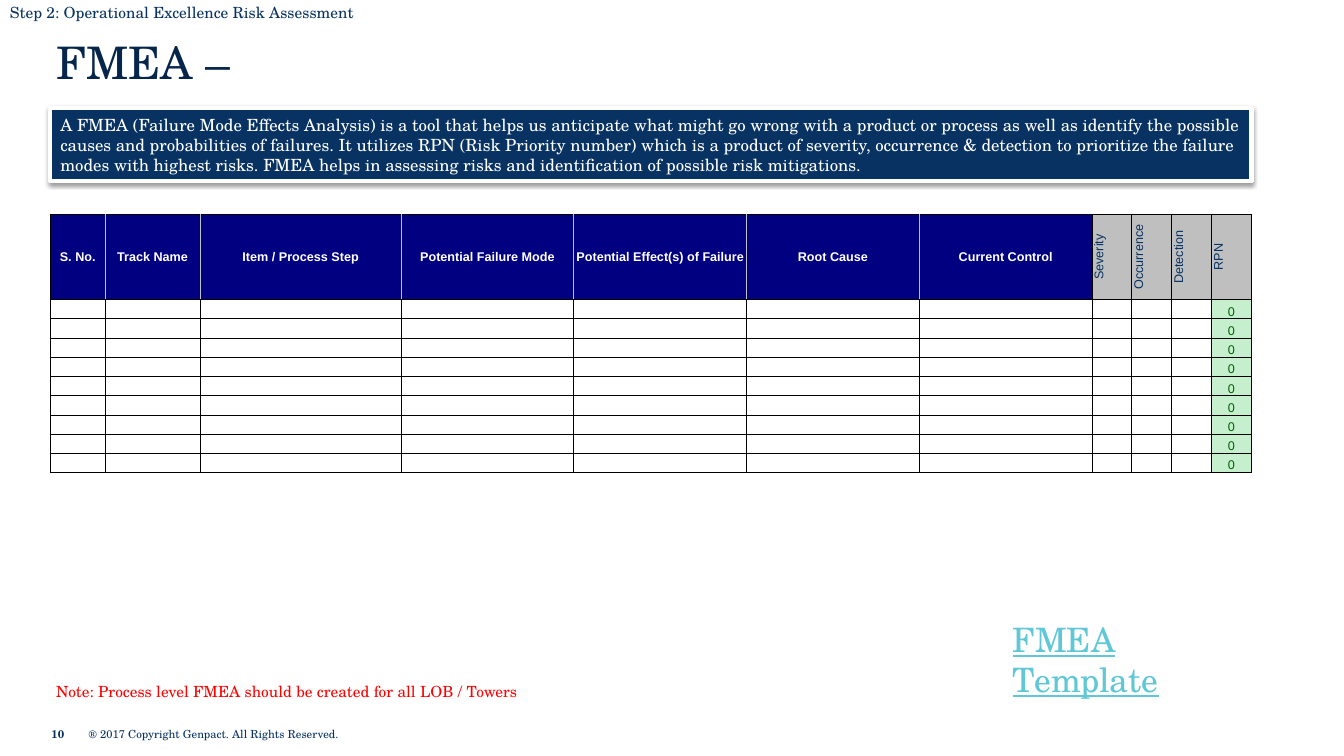
from lxml.etree import SubElement
from pptx import Presentation
from pptx.dml.color import RGBColor
from pptx.enum.shapes import MSO_SHAPE
from pptx.enum.text import MSO_ANCHOR, MSO_AUTO_SIZE, PP_ALIGN
from pptx.oxml.ns import qn
from pptx.util import Pt

SERIF = "TeX Gyre Schola"
SANS = "Arial"
NAVY = RGBColor(0x07, 0x32, 0x62)
TITLE_NAVY = RGBColor(0x05, 0x25, 0x4A)
HEADER_BLUE = RGBColor(0x00, 0x00, 0x80)
TEAL = RGBColor(0x60, 0xC7, 0xD7)
RED = RGBColor(0xFF, 0x00, 0x00)
GRAY = RGBColor(0xBF, 0xBF, 0xBF)
LIGHT_GREEN = RGBColor(0xC6, 0xEF, 0xCE)
DARK_GREEN = RGBColor(0x00, 0x61, 0x00)
WHITE = RGBColor(0xFF, 0xFF, 0xFF)
BLACK = RGBColor(0x00, 0x00, 0x00)


def write(tf, text, size, color, name=SERIF, align=PP_ALIGN.LEFT, margins=(7.2, 3.6)):
    """Fill a text frame; margins are (left and right, top and bottom)."""
    tf.word_wrap = True
    tf.auto_size = MSO_AUTO_SIZE.NONE
    tf.margin_left = tf.margin_right = Pt(margins[0])
    tf.margin_top = tf.margin_bottom = Pt(margins[1])
    p = tf.paragraphs[0]
    p.text = text
    p.alignment = align
    p.font.size, p.font.name = Pt(size), name
    p.font.color.rgb = color
    return p


def set_borders(cell, left, right):
    """Draw half-point borders: given colours at the sides, black above and below."""
    tc_pr = cell._tc.get_or_add_tcPr()
    for side, color in zip("LRTB", (left, right, BLACK, BLACK)):
        ln = SubElement(tc_pr, qn(f"a:ln{side}"), w=str(Pt(0.5)))
        fill = SubElement(ln, qn("a:solidFill"))
        SubElement(fill, qn("a:srgbClr"), val=str(color))


prs = Presentation()
prs.slide_width, prs.slide_height = Pt(960), Pt(540)
slide = prs.slides.add_slide(prs.slide_layouts[5])

# Title
title = slide.shapes.title
title.left, title.top, title.width, title.height = Pt(33.1), Pt(20.9), Pt(776), Pt(46)
write(title.text_frame, "FMEA –", 32, TITLE_NAVY)
title.text_frame.vertical_anchor = MSO_ANCHOR.MIDDLE

# Definition banner
banner = slide.shapes.add_shape(MSO_SHAPE.RECTANGLE, Pt(36), Pt(77), Pt(858), Pt(52.6))
banner.fill.solid()
banner.fill.fore_color.rgb = NAVY
banner.line.color.rgb = WHITE
banner.line.width = Pt(3)
banner.shadow.inherit = False
effects = banner._element.spPr.find(qn("a:effectLst"))
shadow = SubElement(effects, qn("a:outerShdw"), blurRad=str(Pt(3.1)), dist=str(Pt(1.6)),
                    dir="5400000", rotWithShape="0")
shadow_color = SubElement(shadow, qn("a:srgbClr"), val=str(BLACK))
SubElement(shadow_color, qn("a:alpha"), val="38000")
write(banner.text_frame,
      "A FMEA (Failure Mode Effects Analysis) is a tool that helps us anticipate what might go "
      "wrong with a product or process as well as identify the possible causes and probabilities "
      "of failures. It utilizes RPN (Risk Priority number) which is a product of severity, "
      "occurrence & detection to prioritize the failure modes with highest risks. FMEA helps in "
      "assessing risks and identification of possible risk mitigations.", 12, WHITE)
banner.text_frame.vertical_anchor = MSO_ANCHOR.MIDDLE

# Free text: text, left, top, width, height, size, colour
notes = [
    ("Step 2: Operational Excellence Risk Assessment", 0, -1.4, 392, 21, 11, NAVY),
    ("Note: Process level FMEA should be created for all LOB / Towers",
     33.1, 483.8, 446, 21, 11, RED),
    ("FMEA Template", 716.4, 438.5, 194.4, 36, 24, TEAL),
]
for text, left, top, width, height, size, color in notes:
    box = slide.shapes.add_textbox(Pt(left), Pt(top), Pt(width), Pt(height))
    p = write(box.text_frame, text, size, color)
    if color == TEAL:
        p.font.underline = True

# Footer
footer = [("10", 36.7, 24, True),
          ("® 2017 Copyright Genpact. All Rights Reserved.", 63.4, 186, False)]
for text, left, width, bold in footer:
    box = slide.shapes.add_textbox(Pt(left), Pt(515.5), Pt(width), Pt(17.3))
    p = write(box.text_frame, text, 8, NAVY, margins=(0, 0))
    p.font.bold = bold
    box.text_frame.vertical_anchor = MSO_ANCHOR.MIDDLE

# FMEA table
headers = ["S. No.", "Track Name", "Item / Process Step", "Potential Failure Mode",
           "Potential Effect(s) of Failure", "Root Cause", "Current Control"]
scores = ["Severity", "Occurrence", "Detection", "RPN"]
labels = headers + scores
widths = [39, 68, 143.5] + [123.4] * 4 + [28.45] * 4
heights = [60.5] + [13.75] * 9
frame = slide.shapes.add_table(len(heights), len(labels), Pt(36), Pt(153.4),
                               Pt(sum(widths)), Pt(sum(heights)))
table = frame.table
for column, width in zip(table.columns, widths):
    column.width = Pt(width)
for row, height in zip(table.rows, heights):
    row.height = Pt(height)

last_header, last = len(headers) - 1, len(labels) - 1
for r, row in enumerate(table.rows):
    for c, cell in enumerate(row.cells):
        left = right = BLACK
        text, color, fill, anchor = "", NAVY, WHITE, MSO_ANCHOR.MIDDLE
        if r == 0:
            text = labels[c]
            if c <= last_header:
                color, fill = WHITE, HEADER_BLUE
                left = GRAY if c > 0 else BLACK
                right = GRAY if c < last_header else BLACK
            else:
                fill = GRAY
                cell._tc.get_or_add_tcPr().set("vert", "vert270")
        elif c == last:
            text, color, fill, anchor = "0", DARK_GREEN, LIGHT_GREEN, MSO_ANCHOR.BOTTOM
        set_borders(cell, left, right)
        cell.fill.solid()
        cell.fill.fore_color.rgb = fill
        cell.vertical_anchor = anchor
        cell.margin_left = cell.margin_right = cell.margin_top = cell.margin_bottom = 0
        p = cell.text_frame.paragraphs[0]
        p.text = text
        p.alignment = PP_ALIGN.CENTER
        p.font.size, p.font.name = Pt(9), SANS
        p.font.bold = r == 0 and c <= last_header
        p.font.color.rgb = color

prs.save("out.pptx")
